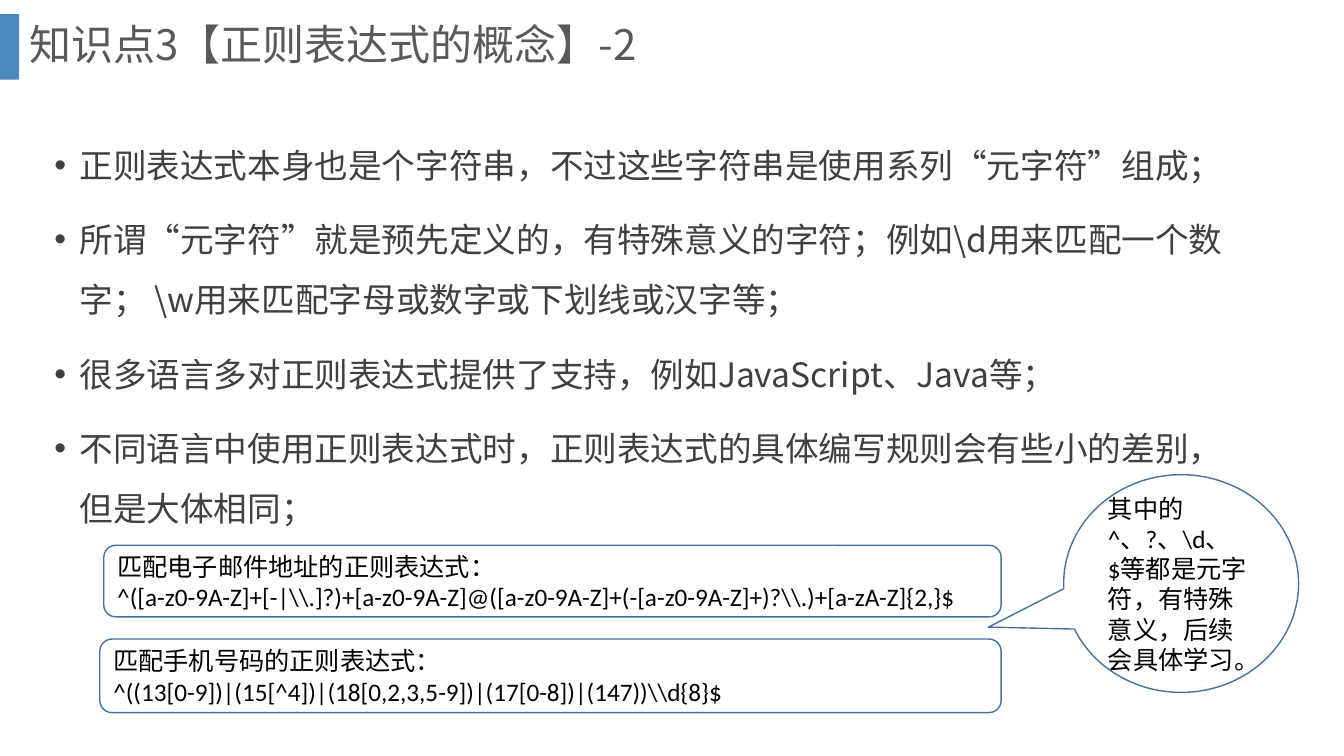
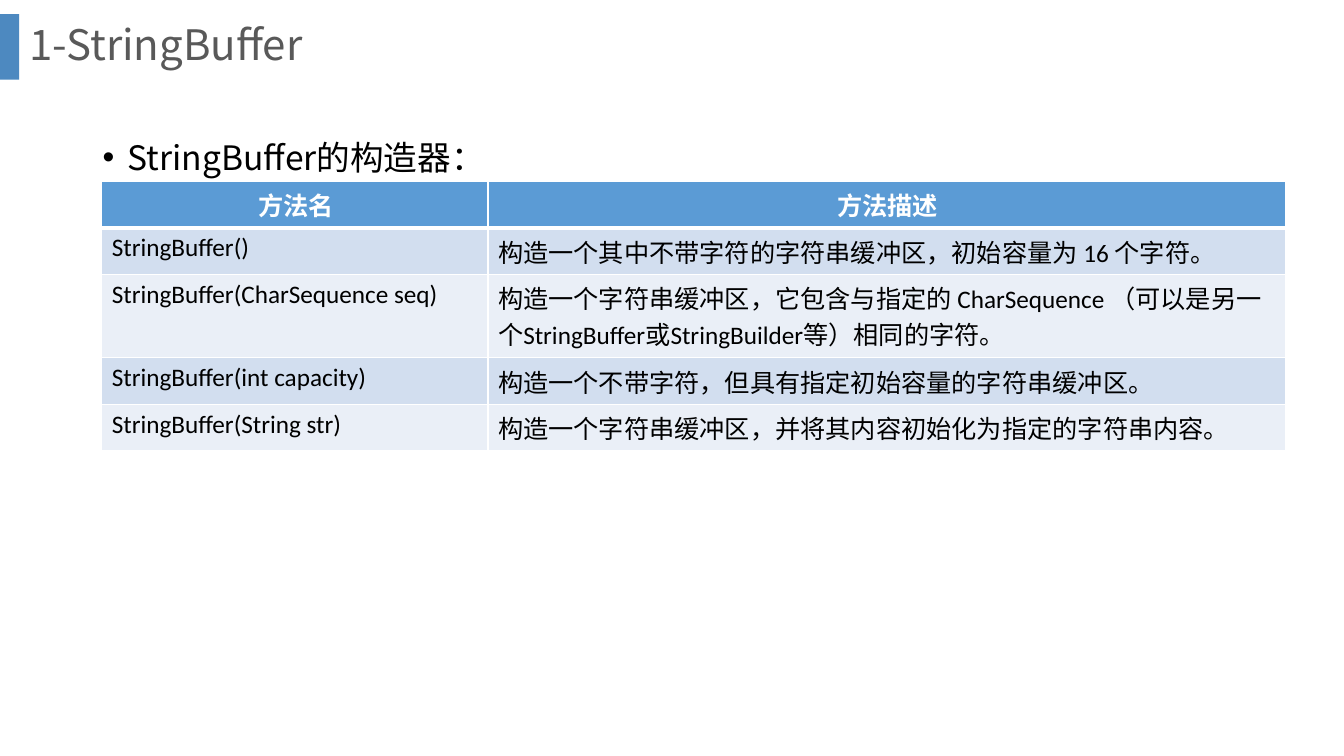
from dataclasses import dataclass

from lxml import etree
from pptx import Presentation
from pptx.dml.color import RGBColor
from pptx.enum.shapes import MSO_SHAPE
from pptx.enum.text import MSO_ANCHOR, MSO_AUTO_SIZE, PP_ALIGN
from pptx.oxml.ns import qn
from pptx.util import Pt

RECTANGLE = MSO_SHAPE.RECTANGLE
ROUNDED = MSO_SHAPE.ROUNDED_RECTANGLE
CALLOUT = MSO_SHAPE.OVAL_CALLOUT
MIDDLE = MSO_ANCHOR.MIDDLE
NO_AUTOFIT = MSO_AUTO_SIZE.NONE
LEFT = PP_ALIGN.LEFT
CENTER = PP_ALIGN.CENTER

EMU_PER_PX = 9144
PAGE_WIDTH, PAGE_HEIGHT = 1333, 750
TITLE_ONLY = 5


@dataclass(frozen=True)
class TextStyle:
    font: str
    size: int
    color: str
    bold: bool = False


@dataclass(frozen=True)
class Theme:
    east_asian: str = "Noto Sans CJK SC"
    title: TextStyle = TextStyle("Noto Sans CJK SC", 30, "595959")
    body: TextStyle = TextStyle("Noto Sans CJK SC", 24, "404040")
    body_dark: TextStyle = TextStyle("Noto Sans CJK SC", 24, "000000")
    note: TextStyle = TextStyle("Calibri", 18, "000000")
    header: TextStyle = TextStyle("Calibri", 18, "FFFFFF", True)
    accent: str = "2E75B6"
    accent_alpha: int = 85
    outline: str = "43739E"
    header_fill: str = "5B9BD5"
    band_fills: tuple = ("D2DEEF", "EAEFF7")
    rule: str = "FFFFFF"
    body_line: float = 43
    note_line: float = 21.6
    paragraph_gap: int = 10


THEME = Theme()

CONCEPTS = [
    "正则表达式本身也是个字符串，不过这些字符串是使用系列“元字符”组成；",
    r"所谓“元字符”就是预先定义的，有特殊意义的字符；例如\d用来匹配一个数字； \w用来匹配字母或数字或下划线或汉字等；",
    "很多语言多对正则表达式提供了支持，例如JavaScript、Java等；",
    "不同语言中使用正则表达式时，正则表达式的具体编写规则会有些小的差别，但是大体相同；",
]
EMAIL_PATTERN = [
    "匹配电子邮件地址的正则表达式：",
    r"^([a-z0-9A-Z]+[-|\\.]?)+[a-z0-9A-Z]@([a-z0-9A-Z]+(-[a-z0-9A-Z]+)?\\.)+[a-zA-Z]{2,}$",
]
PHONE_PATTERN = [
    "匹配手机号码的正则表达式：",
    r"^((13[0-9])|(15[^4])|(18[0,2,3,5-9])|(17[0-8])|(147))\\d{8}$",
]
METACHARACTERS = [r"其中的^、?、\d、$等都是元字符，有特殊意义，后续会具体学习。"]
CONSTRUCTORS = [
    ("方法名", "方法描述"),
    ("StringBuffer()", "构造一个其中不带字符的字符串缓冲区，初始容量为 16 个字符。"),
    ("StringBuffer(CharSequence seq)",
     "构造一个字符串缓冲区，它包含与指定的 CharSequence （可以是另一个StringBuffer或StringBuilder等）相同的字符。"),
    ("StringBuffer(int capacity)", "构造一个不带字符，但具有指定初始容量的字符串缓冲区。"),
    ("StringBuffer(String str)", "构造一个字符串缓冲区，并将其内容初始化为指定的字符串内容。"),
]


def px(*lengths):
    return [length * EMU_PER_PX for length in lengths]


def rgb(color):
    return RGBColor.from_string(color)


def write_paragraph(para, text, style, align=LEFT):
    para.alignment = align
    span = para.add_run()
    span.text = text
    for font in (para.font, span.font):
        font.size = Pt(style.size)
        font.bold = style.bold
        font.color.rgb = rgb(style.color)
        font.name = style.font
        etree.SubElement(font._element, qn("a:ea"), typeface=THEME.east_asian)


def new_paragraphs(frame, texts):
    for index, text in enumerate(texts):
        yield (frame.add_paragraph() if index else frame.paragraphs[0]), text


def set_bullet(para):
    properties = para._p.get_or_add_pPr()
    indent = px(25)[0]
    properties.set("marL", str(indent))
    properties.set("indent", str(-indent))
    etree.SubElement(properties, qn("a:buFont"), typeface="Arial")
    etree.SubElement(properties, qn("a:buChar"), char="•")


def add_bullets(page, texts, bounds, style):
    frame = page.shapes.add_textbox(*px(*bounds)).text_frame
    frame.word_wrap = True
    for para, text in new_paragraphs(frame, texts):
        para.line_spacing = Pt(THEME.body_line)
        para.space_after = Pt(THEME.paragraph_gap)
        set_bullet(para)
        write_paragraph(para, text, style)


def add_note(page, preset, texts, bounds):
    box = page.shapes.add_shape(preset, *px(*bounds))
    box.shadow.inherit = False
    box.fill.background()
    box.line.color.rgb = rgb(THEME.outline)
    box.line.width = Pt(1)
    frame = box.text_frame
    frame.word_wrap = True
    frame.vertical_anchor = MIDDLE
    for para, text in new_paragraphs(frame, texts):
        para.line_spacing = Pt(THEME.note_line)
        write_paragraph(para, text, THEME.note)
    return box


def add_accent_bar(page):
    bar = page.shapes.add_shape(RECTANGLE, *px(0, 14, 19, 65))
    bar.shadow.inherit = False
    bar.line.fill.background()
    bar.fill.solid()
    bar.fill.fore_color.rgb = rgb(THEME.accent)
    color = bar._element.spPr.find(qn("a:solidFill")).find(qn("a:srgbClr"))
    etree.SubElement(color, qn("a:alpha"), val=str(THEME.accent_alpha * 1000))


def add_page(deck, title):
    page = deck.slides.add_slide(deck.slide_layouts[TITLE_ONLY])
    add_accent_bar(page)
    box = page.shapes.title
    box.left, box.top, box.width, box.height = px(19, 0, 1266, 93)
    frame = box.text_frame
    frame.auto_size = NO_AUTOFIT
    frame.word_wrap = True
    frame.vertical_anchor = MIDDLE
    para = frame.paragraphs[0]
    para.line_spacing = 0.9
    write_paragraph(para, title, THEME.title)
    return page


def set_borders(cell, row):
    properties = cell._tc.get_or_add_tcPr()
    for side in "LRTB":
        under_header = (row, side) in ((0, "B"), (1, "T"))
        width = Pt(3 if under_header else 1)
        line = etree.SubElement(properties, qn(f"a:ln{side}"), w=str(width))
        fill = etree.SubElement(line, qn("a:solidFill"))
        etree.SubElement(fill, qn("a:srgbClr"), val=THEME.rule)


def add_method_table(page, rows, left, top, widths, heights):
    bounds = px(left, top, sum(widths), sum(heights))
    table = page.shapes.add_table(len(rows), len(widths), *bounds).table
    for column, width in zip(table.columns, px(*widths)):
        column.width = width
    for table_row, height in zip(table.rows, px(*heights)):
        table_row.height = height
    for row, texts in enumerate(rows):
        is_header = row == 0
        fill = THEME.header_fill if is_header else THEME.band_fills[(row - 1) % 2]
        style = THEME.header if is_header else THEME.note
        for column, text in enumerate(texts):
            cell = table.cell(row, column)
            cell.margin_right = px(8)[0]
            set_borders(cell, row)
            cell.fill.solid()
            cell.fill.fore_color.rgb = rgb(fill)
            write_paragraph(cell.text_frame.paragraphs[0], text, style,
                            CENTER if is_header else LEFT)


def build_regex_page(deck):
    page = add_page(deck, "知识点3【正则表达式的概念】-2")
    add_bullets(page, CONCEPTS, (44, 119, 1205, 469), THEME.body)
    add_note(page, ROUNDED, EMAIL_PATTERN, (103, 541, 890, 71))
    add_note(page, ROUNDED, PHONE_PATTERN, (99, 634, 894, 73))
    callout = add_note(page, CALLOUT, METACHARACTERS, (1055, 471, 233, 216))
    callout.adjustments[0] = -0.82
    callout.adjustments[1] = 0.2


def build_constructor_page(deck):
    page = add_page(deck, "1-StringBuffer")
    add_bullets(page, ["StringBuffer的构造器："], (92, 111, 1150, 577), THEME.body_dark)
    add_method_table(page, CONSTRUCTORS, 101, 180, (383, 791), (46, 46, 83, 46, 46))


def main():
    deck = Presentation()
    deck.slide_width, deck.slide_height = px(PAGE_WIDTH, PAGE_HEIGHT)
    build_regex_page(deck)
    build_constructor_page(deck)
    deck.save("out.pptx")


if __name__ == "__main__":
    main()
